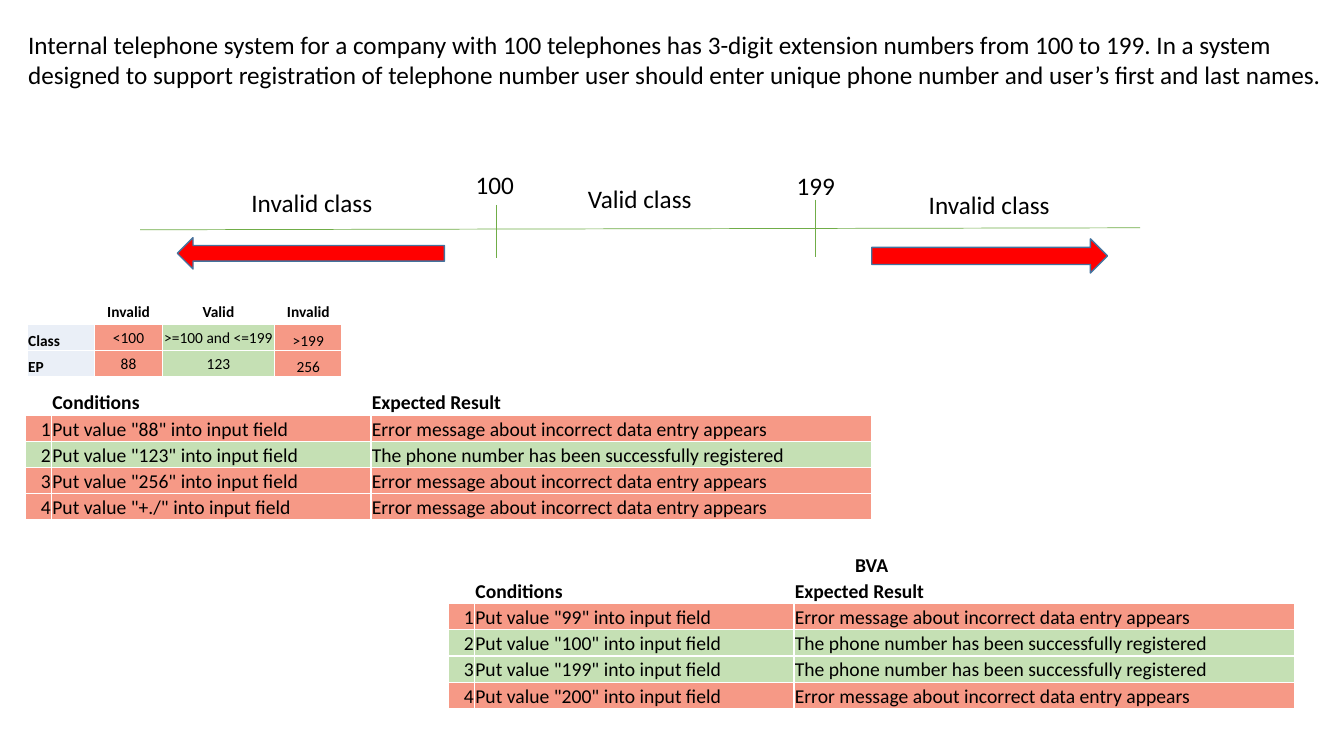
from lxml.etree import SubElement
from pptx import Presentation
from pptx.dml.color import RGBColor
from pptx.enum.shapes import MSO_CONNECTOR, MSO_SHAPE
from pptx.enum.text import MSO_ANCHOR, PP_ALIGN
from pptx.oxml.ns import qn
from pptx.util import Cm, Pt

FONT = "Calibri"
COLOURS = {
    "text": "000000", "blank": "FFFFFF", "axis": "70AD47",
    "arrow": "FF0000", "outline": "43739E",
    "heading": "EAEFF7", "invalid": "F69986", "valid": "C5E0B4",
}
ROW_HEIGHT = 0.66
OUTCOMES = {
    "invalid": "Error message about incorrect data entry appears",
    "valid": "The phone number has been successfully registered",
}


def colour(name):
    """Return the named colour."""
    return RGBColor.from_string(COLOURS[name])


def format_runs(paragraph, size, bold=False):
    """Give every run of a paragraph the slide's font."""
    for span in paragraph.runs:
        span.font.name = FONT
        span.font.size = Pt(size)
        span.font.bold = bold
        span.font.color.rgb = colour("text")


def add_text(page, left, top, width, height, text, wrap=False, align=PP_ALIGN.CENTER):
    """Add an 18-point text box."""
    box = page.shapes.add_textbox(Cm(left), Cm(top), Cm(width), Cm(height))
    box.text_frame.word_wrap = wrap
    box.text_frame.text = text
    for paragraph in box.text_frame.paragraphs:
        paragraph.alignment = align
        format_runs(paragraph, 18)


def add_line(page, start_x, start_y, end_x, end_y):
    """Add a thin green line of the number axis."""
    line = page.shapes.add_connector(
        MSO_CONNECTOR.STRAIGHT, Cm(start_x), Cm(start_y), Cm(end_x), Cm(end_y))
    line.line.color.rgb = colour("axis")
    line.line.width = Pt(0.5)
    SubElement(line._element.spPr, qn("a:effectLst"))


def add_arrow(page, preset, left, top, width, height):
    """Add a red block arrow."""
    arrow = page.shapes.add_shape(preset, Cm(left), Cm(top), Cm(width), Cm(height))
    arrow.shadow.inherit = False
    arrow.fill.solid()
    arrow.fill.fore_color.rgb = colour("arrow")
    arrow.line.color.rgb = colour("outline")
    arrow.line.width = Pt(1)


def add_borders(cell):
    """Draw white borders on all four sides of a cell."""
    properties = cell._tc.get_or_add_tcPr()
    for side in ("lnL", "lnR", "lnT", "lnB"):
        border = SubElement(properties, qn(f"a:{side}"), w=str(Pt(1)))
        fill = SubElement(border, qn("a:solidFill"))
        SubElement(fill, qn("a:srgbClr"), val=COLOURS["blank"])


def fill_cell(cell, text, fill, size, align, bold, anchor=MSO_ANCHOR.BOTTOM):
    """Write and format one table cell."""
    add_borders(cell)
    cell.fill.solid()
    cell.fill.fore_color.rgb = colour(fill)
    cell.margin_left = cell.margin_right = cell.margin_top = Cm(0.02)
    cell.margin_bottom = 0
    cell.vertical_anchor = anchor
    cell.text = text
    paragraph = cell.text_frame.paragraphs[0]
    paragraph.alignment = align
    format_runs(paragraph, size, bold)
    if not text:
        SubElement(paragraph._p, qn("a:endParaRPr"), sz=str(size * 100))


def add_grid(page, left, top, widths, row_count):
    """Add an unstyled table with equal rows and return it."""
    frame = page.shapes.add_table(
        row_count, len(widths), Cm(left), Cm(top),
        Cm(sum(widths)), Cm(ROW_HEIGHT * row_count))
    table = frame.table
    table.first_row = table.horz_banding = False
    for column, width in zip(table.columns, widths):
        column.width = Cm(width)
    for row in table.rows:
        row.height = Cm(ROW_HEIGHT)
    return table


def add_class_table(page, left, top):
    """Add the table of equivalence classes."""
    rows = [
        ("", "Invalid", "Valid", "Invalid"),
        ("Class", "<100", ">=100 and <=199", ">199"),
        ("EP", "88", "123", "256"),
    ]
    fills = ("heading", "invalid", "valid", "invalid")
    table = add_grid(page, left, top, (1.7, 1.7, 2.83, 1.7), len(rows))
    for row, texts in enumerate(rows):
        for column, text in enumerate(texts):
            low = row > 0 and column in (0, 3)
            fill_cell(
                table.cell(row, column), text, fills[column] if row else "blank", 11,
                PP_ALIGN.CENTER if column else PP_ALIGN.LEFT,
                row == 0 or column == 0,
                MSO_ANCHOR.BOTTOM if low else MSO_ANCHOR.MIDDLE)


def add_test_table(page, left, top, cases, title=None):
    """Add a table of test cases, with an optional title row across it."""
    rows = [("blank", ("", "Conditions", "Expected Result"))]
    for number, (value, outcome) in enumerate(cases, 1):
        condition = f'Put value "{value}" into input field'
        rows.append((outcome, (str(number), condition, OUTCOMES[outcome])))
    offset = 1 if title else 0
    table = add_grid(page, left, top, (0.66, 8.05, 12.62), len(rows) + offset)
    if title:
        table.cell(0, 0).merge(table.cell(0, 2))
        fill_cell(table.cell(0, 0), title, "blank", 14, PP_ALIGN.CENTER, True)
    for row, (fill, texts) in enumerate(rows, offset):
        for column, text in enumerate(texts):
            align = PP_ALIGN.LEFT if column else PP_ALIGN.RIGHT
            fill_cell(table.cell(row, column), text, fill, 14, align, fill == "blank")


def add_number_axis(page):
    """Add the axis with its limits, class labels and arrows."""
    add_line(page, 3.53, 5.79, 28.73, 5.74)
    add_line(page, 12.52, 5.16, 12.52, 6.5)
    add_line(page, 20.55, 5.03, 20.55, 6.48)
    for left, top, width, text in (
        (11.72, 4.14, 1.5, "100"),
        (19.81, 4.17, 1.5, "199"),
        (6.07, 4.6, 3.58, "Invalid class"),
        (14.55, 4.5, 3.15, "Valid class"),
        (23.14, 4.65, 3.58, "Invalid class"),
    ):
        add_text(page, left, top, width, 1.02, text)
    add_arrow(page, MSO_SHAPE.LEFT_ARROW, 4.47, 5.99, 6.73, 0.79)
    add_arrow(page, MSO_SHAPE.RIGHT_ARROW, 21.97, 6.02, 5.94, 0.86)


def main():
    """Build the slide and save it."""
    deck = Presentation()
    deck.slide_width, deck.slide_height = Cm(33.87), Cm(19.05)
    page = deck.slides.add_slide(deck.slide_layouts[6])
    add_text(
        page, 0.46, 0.61, 33.66, 1.8,
        "Internal telephone system for a company with 100 telephones has 3-digit "
        "extension numbers from 100 to 199. In a system\n"
        "designed to support registration of telephone number user should enter "
        "unique phone number and user’s first and last names.",
        wrap=True, align=PP_ALIGN.LEFT)
    add_number_axis(page)
    add_class_table(page, 0.69, 7.52)
    add_test_table(page, 0.64, 9.8, [
        ("88", "invalid"), ("123", "valid"), ("256", "invalid"), ("+./", "invalid")])
    add_test_table(page, 11.3, 13.89, [
        ("99", "invalid"), ("100", "valid"), ("199", "valid"), ("200", "invalid")],
        title="BVA")
    deck.save("out.pptx")


main()
